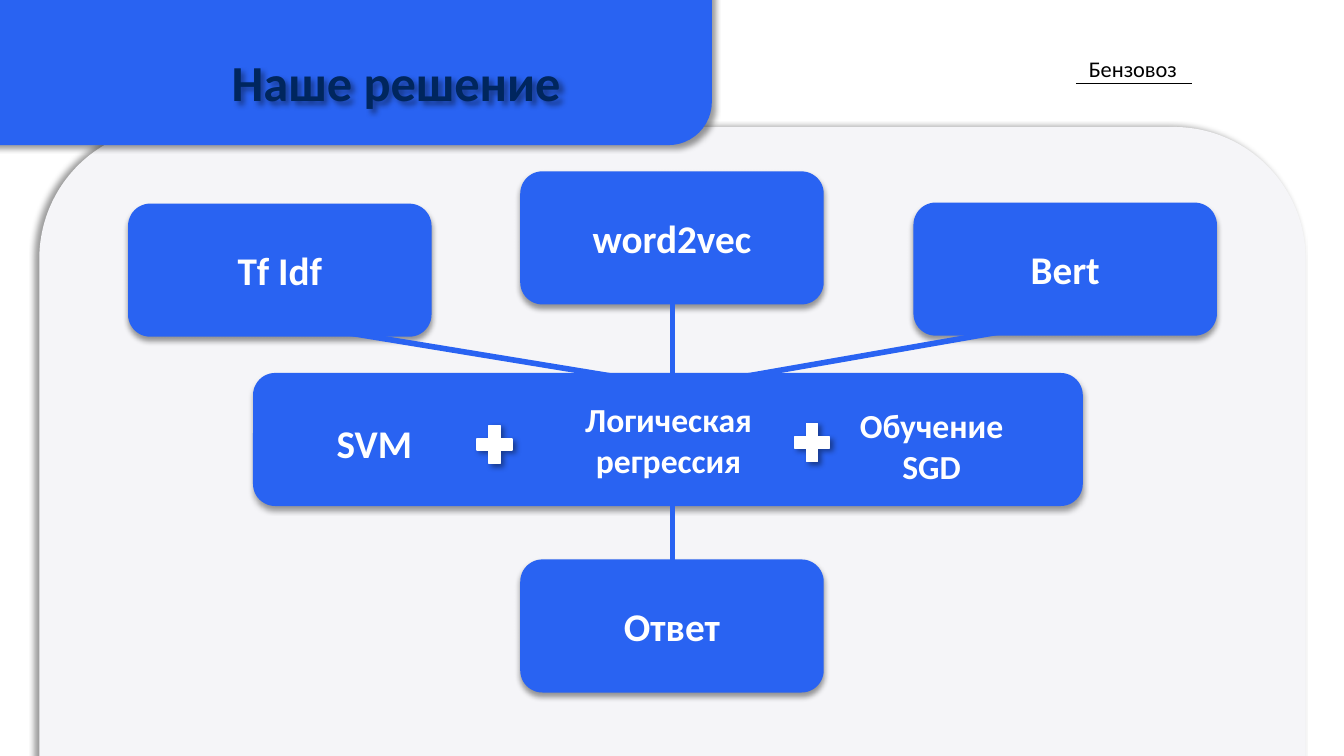
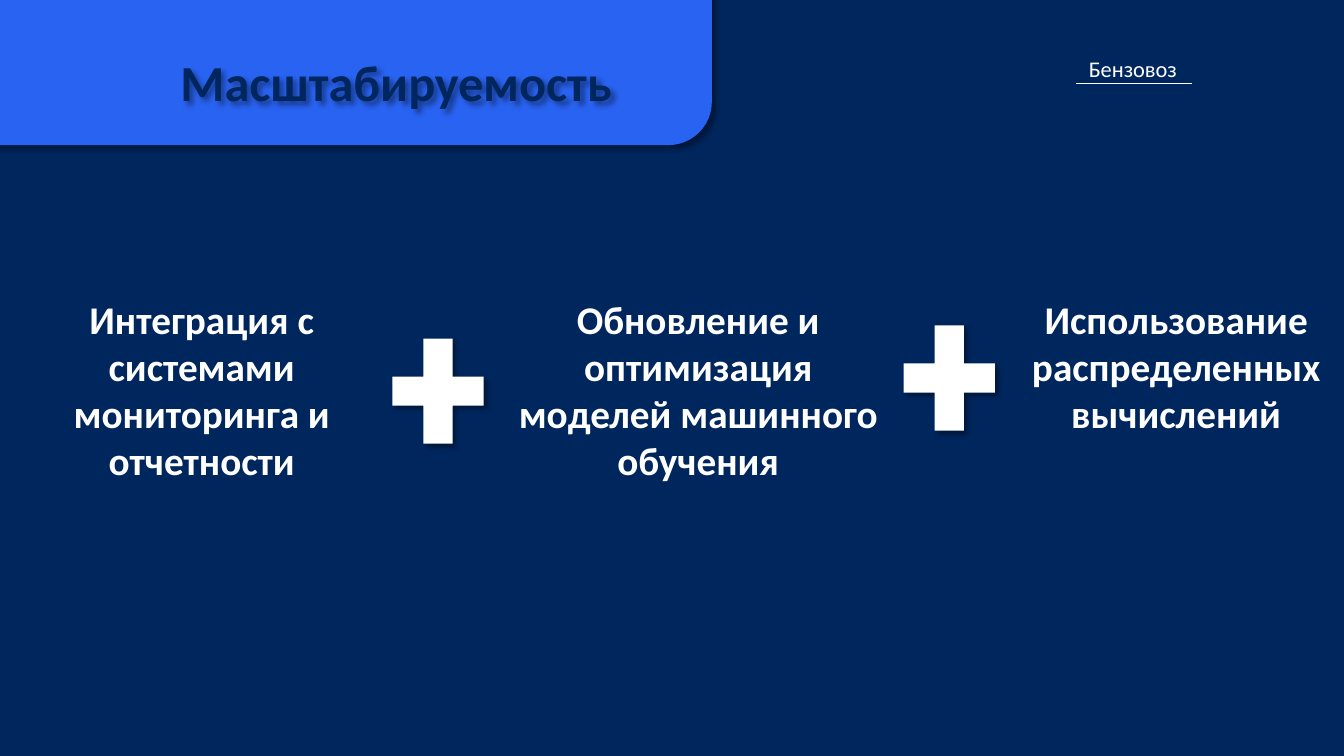
"""Build two slides: the solution diagram and the scalability summary."""
from typing import NamedTuple, Optional

from lxml.etree import SubElement
from pptx import Presentation
from pptx.dml.color import RGBColor
from pptx.enum.shapes import MSO_CONNECTOR, MSO_SHAPE
from pptx.enum.text import MSO_ANCHOR, PP_ALIGN
from pptx.oxml.ns import qn
from pptx.util import Inches, Pt

BLUE = RGBColor(0x29, 0x63, 0xF2)
NAVY = RGBColor(0x00, 0x26, 0x5E)
PANEL = RGBColor(0xF5, 0xF5, 0xF8)
WHITE = RGBColor(0xFF, 0xFF, 0xFF)
BLACK = RGBColor(0x00, 0x00, 0x00)
FONT = "Calibri"
CENTER_X = 6.67
BOX_WIDTH, BOX_HEIGHT = 3.01, 1.32


class Frame(NamedTuple):
    left: float
    top: float
    width: float
    height: float


class Label(NamedTuple):
    text: str
    frame: Frame
    size: float = 28
    color: RGBColor = WHITE
    bold: bool = True
    align: PP_ALIGN = PP_ALIGN.CENTER
    wrap: bool = True


class Arrow(NamedTuple):
    start: tuple[float, float]
    end: tuple[float, float]


BOXES = [
    ("Tf Idf", 1.27, 2.02),
    ("word2vec", 5.16, 1.7),
    ("Bert", 9.06, 2.01),
    ("Ответ", 5.16, 5.55),
]
METHODS = [
    Label("SVM", Frame(3.24, 4.11, 1.05, 0.57), align=PP_ALIGN.LEFT),
    Label("Обучение SGD", Frame(8.11, 3.97, 2.26, 0.91), 24),
    Label("Логическая регрессия", Frame(5.62, 3.91, 2.02, 0.91), 24),
]
ARROWS = [
    Arrow((2.77, 3.19), (CENTER_X, 3.83)),
    Arrow((CENTER_X, 5.64), (CENTER_X, 4.73)),
    Arrow((10.56, 3.18), (CENTER_X, 3.86)),
    Arrow((CENTER_X, 3.99), (CENTER_X, 2.76)),
]
GOALS = [
    Label("Интеграция с системами мониторинга и отчетности",
          Frame(-0.13, 2.88, 4.26, 1.99)),
    Label("Обновление и оптимизация моделей машинного обучения",
          Frame(4.96, 2.88, 3.93, 1.99)),
    Label("Использование распределенных вычислений",
          Frame(10.03, 2.88, 3.27, 1.51)),
]


def inches(frame: Frame) -> list:
    return [Inches(value) for value in frame]


def add_shadow(shape, angle: int) -> None:
    shape.shadow.inherit = False
    effects = shape._element.spPr.find(qn("a:effectLst"))
    outer = SubElement(effects, qn("a:outerShdw"), blurRad=str(Pt(4)),
                       dist=str(Pt(3)), dir=str(angle * 60000),
                       algn="ctr", rotWithShape="0")
    color = SubElement(outer, qn("a:srgbClr"), val=str(BLACK))
    SubElement(color, qn("a:alpha"), val="40000")


def write(shape, label: Label) -> None:
    text_frame = shape.text_frame
    text_frame.word_wrap = label.wrap
    text_frame.text = label.text
    para = text_frame.paragraphs[0]
    para.alignment = label.align
    for span in para.runs:
        span.font.name = FONT
        span.font.size = Pt(label.size)
        span.font.bold = label.bold
        span.font.color.rgb = label.color


def add_label(slide, label: Label):
    box = slide.shapes.add_textbox(*inches(label.frame))
    write(box, label)
    return box


def add_block(slide, kind: MSO_SHAPE, frame: Frame, fill: RGBColor,
              angle: int, outline: Optional[RGBColor] = None):
    shape = slide.shapes.add_shape(kind, *inches(frame))
    shape.fill.solid()
    shape.fill.fore_color.rgb = fill
    if outline is None:
        shape.line.fill.background()
    else:
        shape.line.color.rgb = outline
        shape.line.width = Pt(1)
    add_shadow(shape, angle)
    return shape


def add_line(slide, line: Arrow, color: RGBColor, width: float,
             pointed: bool = False) -> None:
    points = [Inches(value) for value in (*line.start, *line.end)]
    connector = slide.shapes.add_connector(MSO_CONNECTOR.STRAIGHT, *points)
    connector.line.color.rgb = color
    connector.line.width = Pt(width)
    properties = connector._element.spPr
    if pointed:
        SubElement(properties.find(qn("a:ln")), qn("a:tailEnd"), type="triangle")
    SubElement(properties, qn("a:effectLst"))


def add_slide(deck, background: RGBColor):
    slide = deck.slides.add_slide(deck.slide_layouts[6])
    slide.background.fill.solid()
    slide.background.fill.fore_color.rgb = background
    return slide


def add_header(slide, title: str, team_color: RGBColor) -> None:
    add_block(slide, MSO_SHAPE.ROUNDED_RECTANGLE,
              Frame(-0.46, -1.14, 7.52, 2.58), BLUE, 45)
    heading = add_label(slide, Label(title, Frame(1.19, 0.46, 5.48, 0.71), 36, NAVY))
    add_shadow(heading, 45)
    add_label(slide, Label("Бензовоз", Frame(10.7, 0.5, 1.08, 0.37), 16,
                           team_color, False, PP_ALIGN.LEFT, False))
    add_line(slide, Arrow((10.67, 0.83), (11.82, 0.83)), team_color, 0.5)


def build_solution(deck) -> None:
    slide = add_slide(deck, WHITE)
    rounded = MSO_SHAPE.ROUNDED_RECTANGLE
    add_block(slide, rounded, Frame(0.39, 1.26, 12.56, 7.84), PANEL, 180)
    add_header(slide, "Наше решение", BLACK)
    add_block(slide, rounded, Frame(2.51, 3.7, 8.23, BOX_HEIGHT), BLUE, 90)
    for text, left, top in BOXES:
        frame = Frame(left, top, BOX_WIDTH, BOX_HEIGHT)
        box = add_block(slide, rounded, frame, BLUE, 90)
        box.text_frame.vertical_anchor = MSO_ANCHOR.MIDDLE
        write(box, Label(text, frame))
    for method in METHODS:
        add_label(slide, method)
    for left, top in ((4.67, 4.15), (7.82, 4.13)):
        add_block(slide, MSO_SHAPE.MATH_PLUS, Frame(left, top, 0.47, 0.52),
                  WHITE, 45, WHITE)
    for arrow in ARROWS:
        add_line(slide, arrow, BLUE, 4, True)


def build_scalability(deck) -> None:
    slide = add_slide(deck, NAVY)
    add_header(slide, "Масштабируемость", WHITE)
    for goal in GOALS:
        add_label(slide, goal)
    for left, top in ((3.73, 3.17), (8.8, 3.04)):
        add_block(slide, MSO_SHAPE.MATH_PLUS, Frame(left, top, 1.23, 1.42),
                  WHITE, 45)


def main() -> None:
    deck = Presentation()
    deck.slide_width = Inches(13.33)
    deck.slide_height = Inches(7.5)
    build_solution(deck)
    build_scalability(deck)
    deck.save("out.pptx")


if __name__ == "__main__":
    main()
